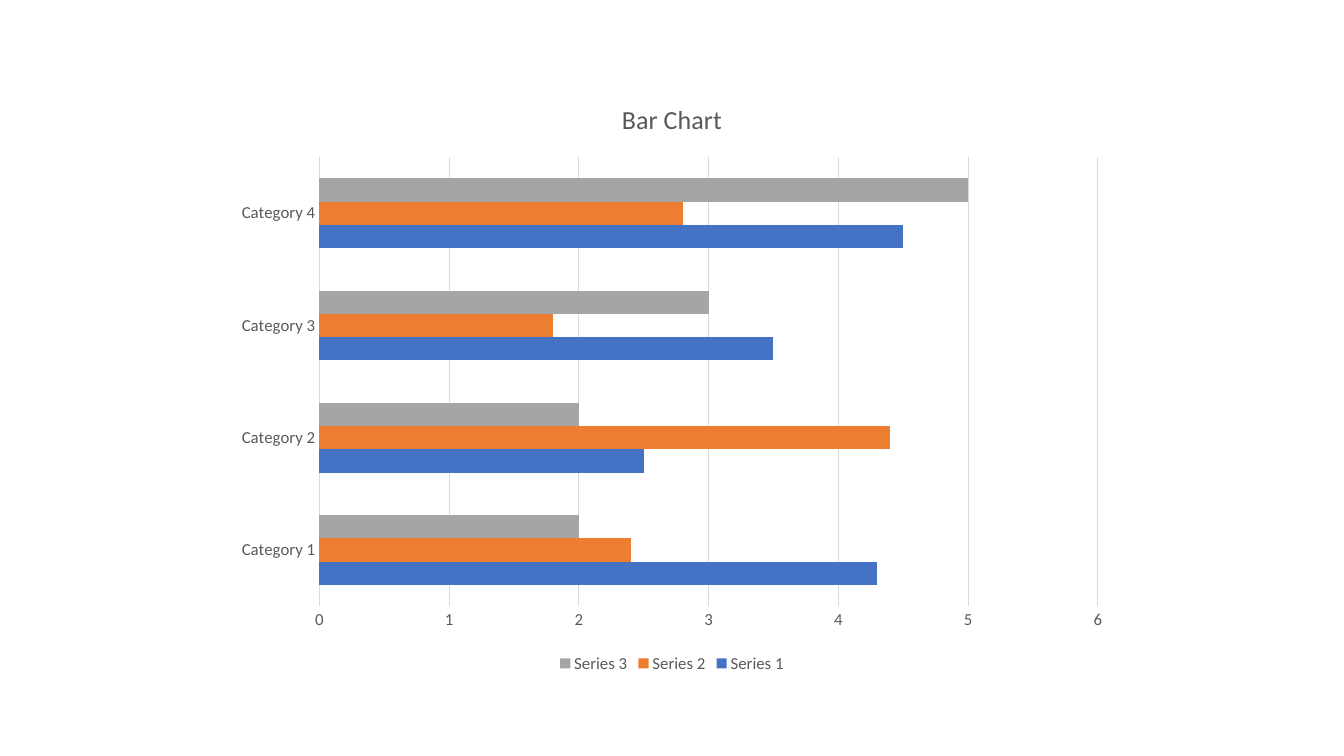
from dataclasses import dataclass

from pptx import Presentation
from pptx.chart.data import CategoryChartData
from pptx.dml.color import RGBColor
from pptx.enum.chart import XL_CHART_TYPE, XL_LEGEND_POSITION, XL_TICK_MARK
from pptx.util import Inches, Pt

BAR_CLUSTERED = XL_CHART_TYPE.BAR_CLUSTERED
LEGEND_BOTTOM = XL_LEGEND_POSITION.BOTTOM
NO_TICK = XL_TICK_MARK.NONE


@dataclass(frozen=True)
class Theme:
    font: str = "Calibri"
    text: str = "595959"
    line: str = "D9D9D9"
    bars: tuple = ("4472C4", "ED7D31", "A5A5A5")
    title_size: float = 18.6
    label_size: float = 12
    line_width: float = 0.75


theme = Theme()


def style_font(font, size):
    font.name = theme.font
    font.size = Pt(size)
    font.bold = False
    font.color.rgb = RGBColor.from_string(theme.text)


def style_line(line):
    line.color.rgb = RGBColor.from_string(theme.line)
    line.width = Pt(theme.line_width)


prs = Presentation()
prs.slide_width = Inches(13.33)
prs.slide_height = Inches(7.5)
s = prs.slides.add_slide(prs.slide_layouts[6])

# Chart data
data = CategoryChartData()
data.categories = [f"Category {n}" for n in range(1, 5)]
data.add_series("Series 1", (4.3, 2.5, 3.5, 4.5))
data.add_series("Series 2", (2.4, 4.4, 1.8, 2.8))
data.add_series("Series 3", (2, 2, 3, 5))
chart = s.shapes.add_chart(BAR_CLUSTERED, Inches(2.22), Inches(0.79),
                           Inches(8.89), Inches(5.93), data).chart
style_font(chart.font, theme.label_size)

# Title
chart.has_title = True
p = chart.chart_title.text_frame.paragraphs[0]
r = p.add_run()
r.text = "Bar Chart"
style_font(r.font, theme.title_size)
chart.chart_title.include_in_layout = False

# Bars
plot = chart.plots[0]
plot.gap_width = 182
plot.vary_by_categories = False
for series, color in zip(plot.series, theme.bars):
    series.format.fill.solid()
    series.format.fill.fore_color.rgb = RGBColor.from_string(color)

# Axes
for axis in (chart.category_axis, chart.value_axis):
    axis.major_tick_mark = NO_TICK
    axis.minor_tick_mark = NO_TICK
    style_font(axis.tick_labels.font, theme.label_size)
style_line(chart.category_axis.format.line)
chart.value_axis.format.line.fill.background()
chart.value_axis.has_major_gridlines = True
style_line(chart.value_axis.major_gridlines.format.line)
chart.value_axis.minimum_scale = 0
chart.value_axis.maximum_scale = 6
chart.value_axis.major_unit = 1

# Legend
chart.has_legend = True
chart.legend.position = LEGEND_BOTTOM
chart.legend.include_in_layout = False
style_font(chart.legend.font, theme.label_size)

prs.save("out.pptx")
